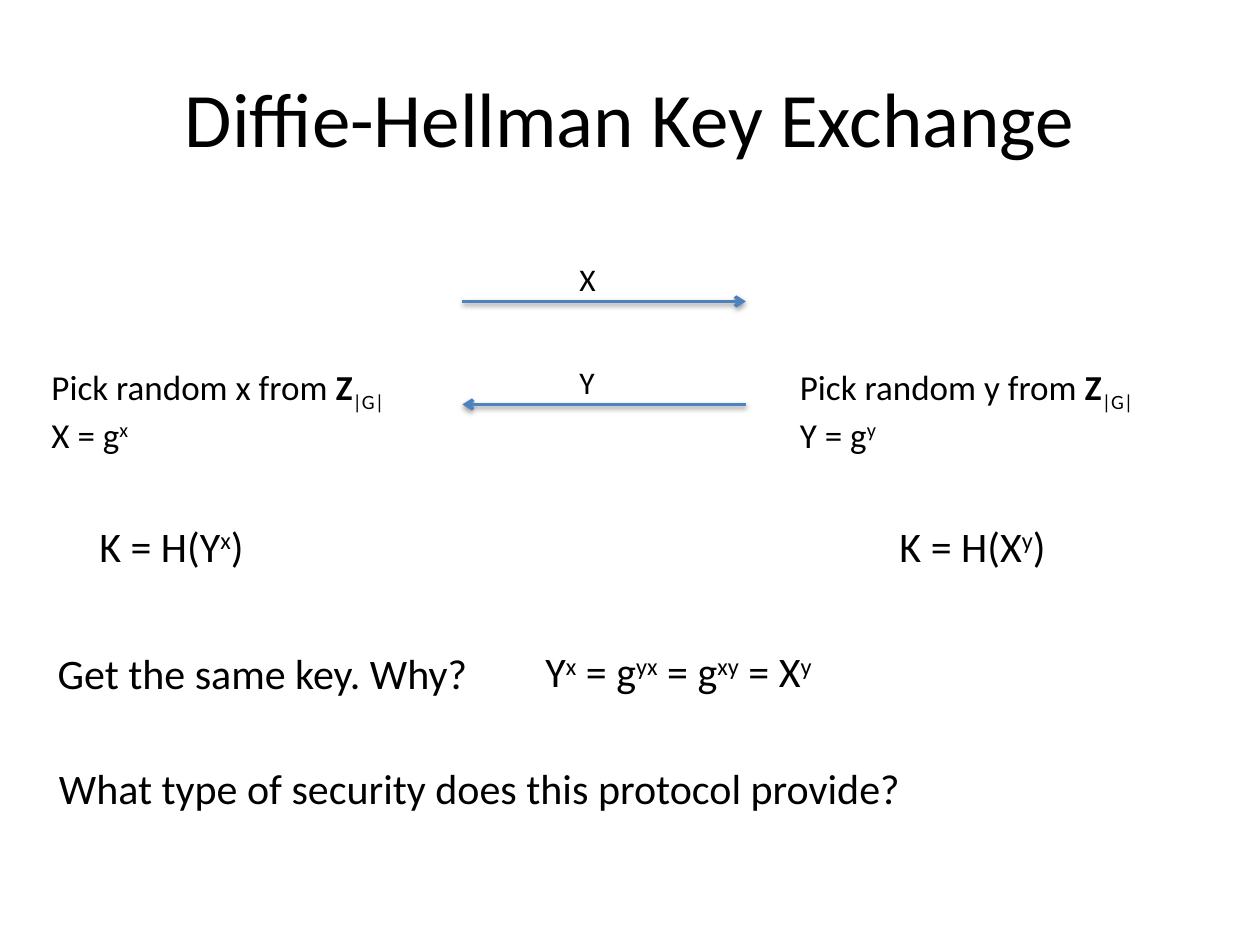
from lxml.etree import SubElement
from pptx import Presentation
from pptx.dml.color import RGBColor
from pptx.enum.shapes import MSO_CONNECTOR as Connector
from pptx.enum.text import MSO_ANCHOR as Anchor, MSO_AUTO_SIZE as AutoSize, PP_ALIGN as Align
from pptx.oxml import parse_xml
from pptx.oxml.ns import nsdecls, qn
from pptx.util import Inches, Pt

COLORS = {"text": "000000", "arrow": "4F81BD", "shadow": "000000"}
FONT = "Calibri"
BASELINES = {"sup": "30000", "sub": "-25000"}

# Content: a line is a list of (text, style) runs; places are percent of the slide
TITLE = "Diffie-Hellman Key Exchange"
PARTIES = [  # secret, public value, received value, left of choice, left and width of key
    ("x", "X", "Y", 3.1, 6.9, 13.7),
    ("y", "Y", "X", 62.5, 70.4, 13.9),
]
MESSAGES = [("X", 31.9, True), ("Y", 42.8, False)]  # label, height, left to right
STATEMENTS = [  # left, top, width, runs
    (3.6, 67.9, 35.3, [("Get the same key. Why?", "")]),
    (42.3, 67.7, 24.4, [("Y", ""), ("x", "sup"), (" = g", ""), ("yx", "sup"),
                        (" = g", ""), ("xy", "sup"), (" = X", ""), ("y", "sup")]),
    (3.7, 80, 69.6, [("What type of security does this protocol provide?", "")]),
]
CHOICE_TOP, CHOICE_SIZE = 38, (29.1, 10.3)
KEY_TOP, LINE_HEIGHT = 54.4, 6.7
ARROW_LEFT, ARROW_RIGHT = 36.7, 59.2
LABEL_LEFT, LABEL_RISE, LABEL_SIZE = 45, 5, (3.3, 5.3)

presentation = Presentation()
presentation.slide_width, presentation.slide_height = Inches(10), Inches(7.5)
slide = presentation.slides.add_slide(presentation.slide_layouts[6])


def across(percent):
    return round(presentation.slide_width * percent / 100)


def down(percent):
    return round(presentation.slide_height * percent / 100)


def add_text(left, top, width, height, lines, size):
    shape = slide.shapes.add_textbox(across(left), down(top), across(width), down(height))
    frame = shape.text_frame
    frame.word_wrap = False
    frame.auto_size = AutoSize.SHAPE_TO_FIT_TEXT
    for index, line in enumerate(lines):
        paragraph = frame.paragraphs[0] if index == 0 else frame.add_paragraph()
        for text, style in line:
            run = paragraph.add_run()
            run.text = text
            run.font.name, run.font.size = FONT, Pt(size)
            run.font.color.rgb = RGBColor.from_string(COLORS["text"])
            if style == "bold":
                run.font.bold = True
            elif style:
                run.font._element.set("baseline", BASELINES[style])
    return frame


def add_arrow(start, end, height):
    arrow = slide.shapes.add_connector(
        Connector.STRAIGHT, across(start), down(height), across(end), down(height))
    arrow.line.width = Pt(2)
    arrow.line.color.rgb = RGBColor.from_string(COLORS["arrow"])
    SubElement(arrow.line._get_or_add_ln(), qn("a:tailEnd"), type="arrow")
    arrow._element.spPr.append(parse_xml(
        f'<a:effectLst {nsdecls("a")}><a:outerShdw blurRad="{Pt(3.1)}" dist="{Pt(1.6)}" '
        f'dir="5400000" rotWithShape="0"><a:srgbClr val="{COLORS["shadow"]}">'
        '<a:alpha val="38000"/></a:srgbClr></a:outerShdw></a:effectLst>'))


# Title
title = add_text(5, 4, 90, 16.7, [[(TITLE, "")]], 44)
title.auto_size, title.word_wrap = AutoSize.NONE, True
title.vertical_anchor = Anchor.MIDDLE
title.paragraphs[0].alignment = Align.CENTER

# Each party's secret choice and derived key
for secret, public, received, choice_left, key_left, key_width in PARTIES:
    choice = [
        [(f"Pick random {secret} from ", ""), ("Z", "bold"), ("|G|", "sub")],
        [(f"{public} = g", ""), (secret, "sup")],
    ]
    add_text(choice_left, CHOICE_TOP, *CHOICE_SIZE, choice, 20)
    key = [(f"K = H({received}", ""), (secret, "sup"), (")", "")]
    add_text(key_left, KEY_TOP, key_width, LINE_HEIGHT, [key], 24)

# Messages exchanged between the parties
for label, height, rightward in MESSAGES:
    ends = (ARROW_LEFT, ARROW_RIGHT) if rightward else (ARROW_RIGHT, ARROW_LEFT)
    add_arrow(*ends, height)
    add_text(LABEL_LEFT, height - LABEL_RISE, *LABEL_SIZE, [[(label, "")]], 18)

# Conclusion and question
for left, top, width, runs in STATEMENTS:
    add_text(left, top, width, LINE_HEIGHT, [runs], 24)

presentation.save("out.pptx")
